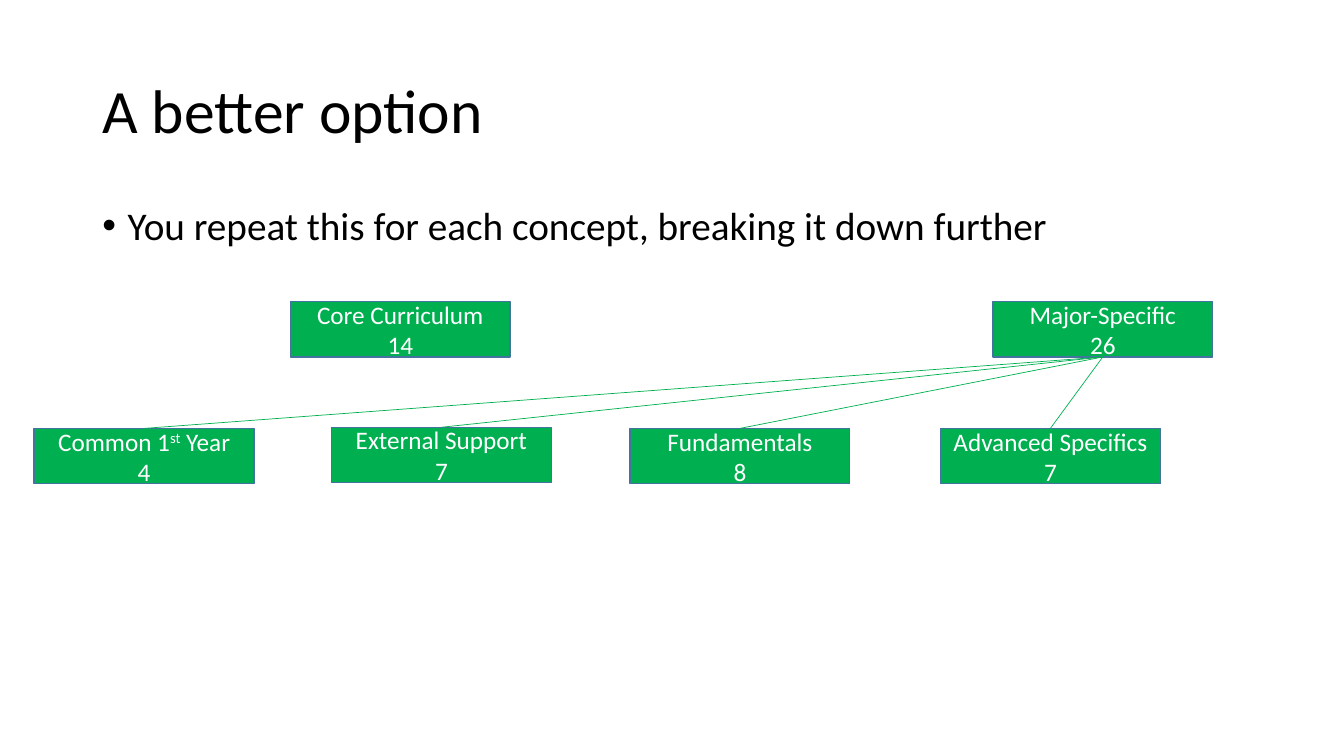
from dataclasses import dataclass

from lxml import etree
from pptx import Presentation
from pptx import util as u
from pptx.dml.color import RGBColor
from pptx.enum import shapes, text
from pptx.oxml import ns

TITLE = "A better option"
BODY = "You repeat this for each concept, breaking it down further"
# Label (^ marks superscript), count, left, top
CORE = ("Core Curriculum", 14, 207.4, 215.4)
MAJOR = ("Major-Specific", 26, 709.2, 215.4)
PARTS = [
    ("Common 1^st^ Year", 4, 24.4, 306),
    ("External Support", 7, 236.8, 305.2),
    ("Fundamentals", 8, 450, 306),
    ("Advanced Specifics", 7, 671.8, 306),
]
BOX = (157, 39.6)


@dataclass(frozen=True)
class Theme:
    """Colours, font and type sizes."""
    ink: str = "000000"
    pale: str = "FFFFFF"
    green: str = "00B050"
    edge: str = "43739E"
    font: str = "Calibri"
    head: int = 44
    body: int = 28
    label: int = 18


theme = Theme()


def write(shape, lines, size, color, align, anchor, space=1.0, before=0):
    """Fill a shape with one paragraph per line; ^ toggles superscript."""
    frame = shape.text_frame
    frame.word_wrap = True
    frame.auto_size = text.MSO_AUTO_SIZE.NONE
    frame.vertical_anchor = anchor
    for i, line in enumerate(lines):
        para = frame.paragraphs[0] if i == 0 else frame.add_paragraph()
        para.alignment = align
        para.line_spacing = space
        para.space_before = u.Pt(before)
        for j, part in enumerate(line.split("^")):
            run = para.add_run()
            run.text = part
            run.font.name = theme.font
            run.font.size = u.Pt(size)
            run.font.color.rgb = RGBColor.from_string(color)
            if j % 2:
                run.font._element.set("baseline", "30000")


def place(shape, left, top, width, height):
    """Move and size a shape, in points."""
    shape.left, shape.top = u.Pt(left), u.Pt(top)
    shape.width, shape.height = u.Pt(width), u.Pt(height)


def add_box(slide, label, count, left, top):
    """Draw a green box with its label and count."""
    box = slide.shapes.add_shape(
        shapes.MSO_SHAPE.RECTANGLE, *map(u.Pt, (left, top, *BOX)))
    box.shadow.inherit = False
    box.fill.solid()
    box.fill.fore_color.rgb = RGBColor.from_string(theme.green)
    box.line.color.rgb = RGBColor.from_string(theme.edge)
    box.line.width = u.Pt(1)
    write(box, [label, str(count)], theme.label, theme.pale,
          text.PP_ALIGN.CENTER, text.MSO_ANCHOR.MIDDLE)
    return box


def link(slide, parent, child):
    """Join the foot of the parent to the top of the child."""
    line = slide.shapes.add_connector(
        shapes.MSO_CONNECTOR.STRAIGHT, 0, 0, 0, 0)
    line.begin_connect(parent, 2)
    line.end_connect(child, 0)
    line.line.color.rgb = RGBColor.from_string(theme.green)
    line.line.width = u.Pt(0.5)
    etree.SubElement(line._element.spPr, ns.qn("a:effectLst"))


def main():
    """Build and save the slide."""
    deck = Presentation()
    deck.slide_width, deck.slide_height = u.Pt(960), u.Pt(540)
    slide = deck.slides.add_slide(deck.slide_layouts[1])

    title, body = slide.placeholders
    place(title, 66, 28.8, 828, 104.4)
    write(title, [TITLE], theme.head, theme.ink, text.PP_ALIGN.LEFT,
          text.MSO_ANCHOR.MIDDLE, space=0.9)
    place(body, 66, 144, 828, 342.7)
    write(body, [BODY], theme.body, theme.ink, text.PP_ALIGN.LEFT,
          text.MSO_ANCHOR.TOP, space=0.9, before=10)
    props = body.text_frame.paragraphs[0]._p.get_or_add_pPr()
    props.set("marL", str(u.Pt(18)))
    props.set("indent", str(u.Pt(-18)))

    add_box(slide, *CORE)
    major = add_box(slide, *MAJOR)
    for part in PARTS:
        link(slide, major, add_box(slide, *part))

    deck.save("out.pptx")


main()
